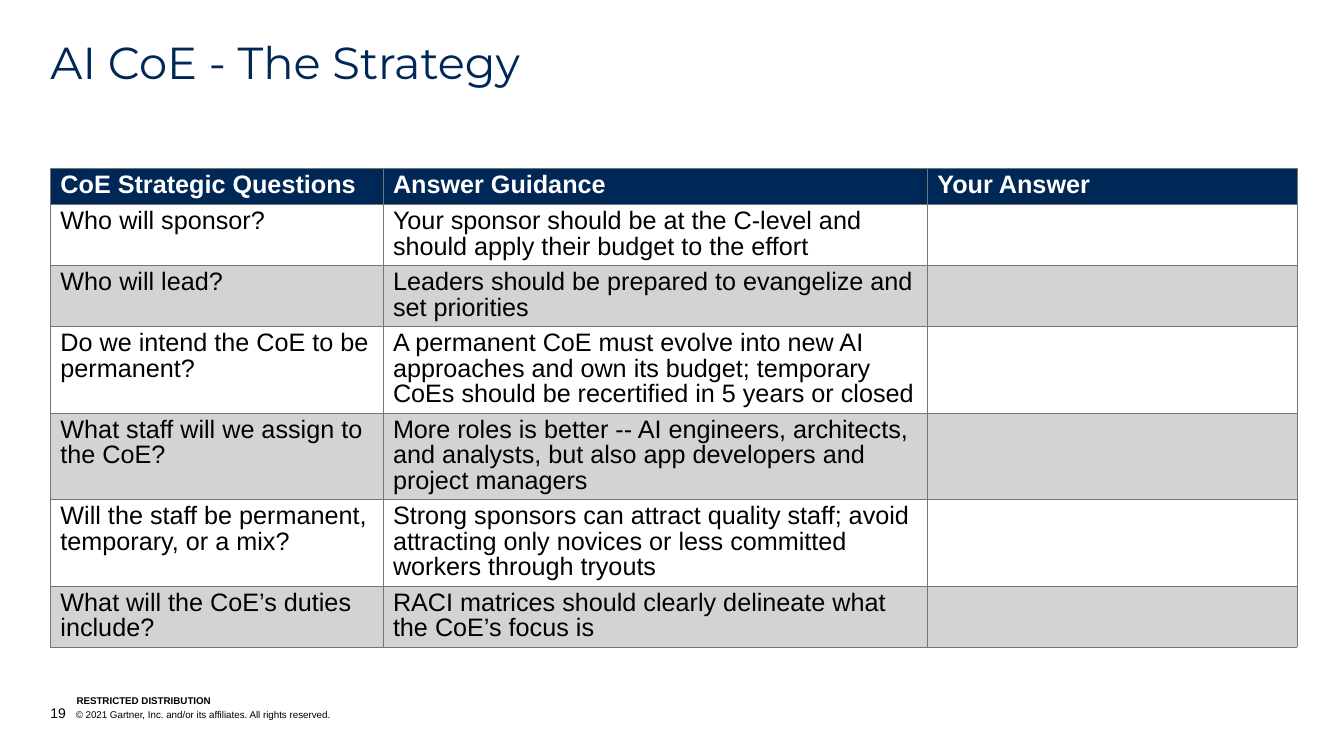
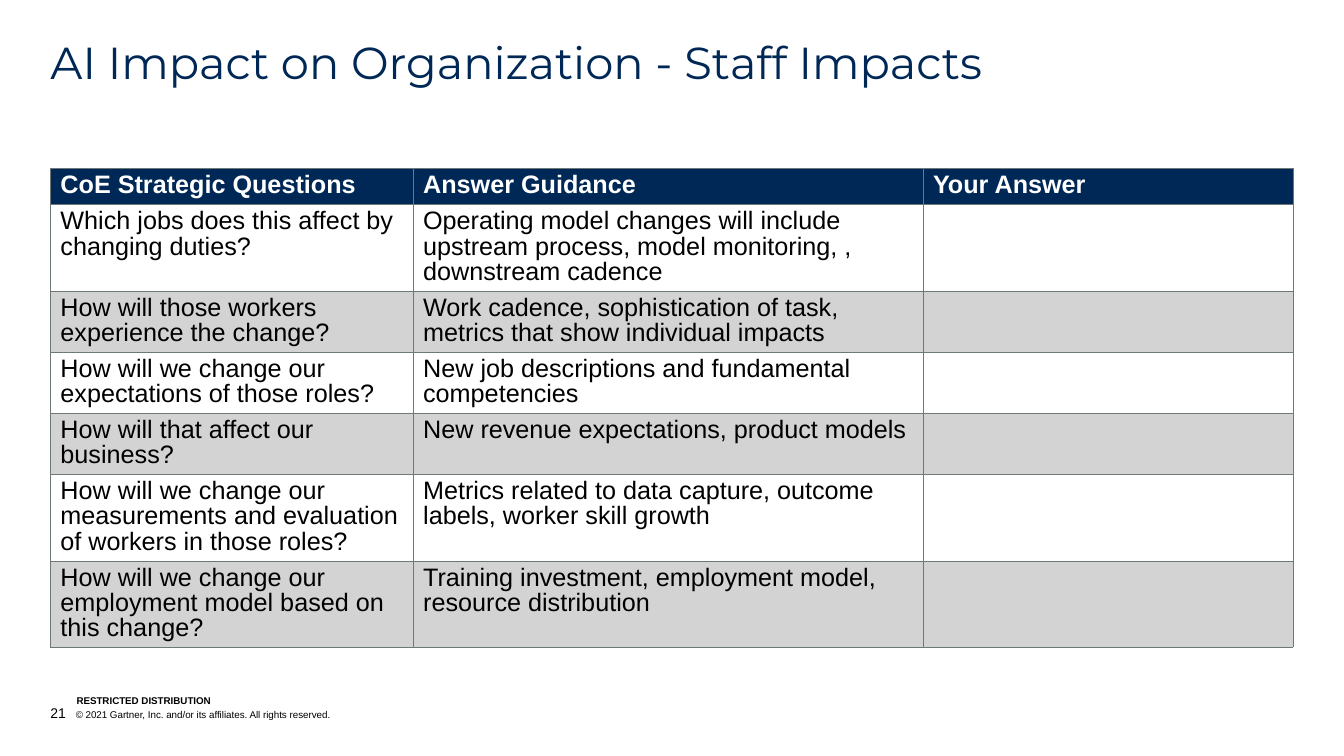
from dataclasses import dataclass

from lxml import etree
from pptx import Presentation
from pptx import util as u
from pptx.dml.color import RGBColor
from pptx.enum import text
from pptx.oxml.ns import qn
from pptx.slide import Slide
from pptx.table import _Cell
from pptx.text.text import TextFrame, _Paragraph

# Shared look
NAVY = RGBColor(0x00, 0x28, 0x56)
WHITE = RGBColor(0xFF, 0xFF, 0xFF)
BLACK = RGBColor(0x00, 0x00, 0x00)
BAND_GREY = RGBColor(0xD3, 0xD3, 0xD3)
RULE_GREY = RGBColor(0x6F, 0x78, 0x78)
TITLE_FONT = "Montserrat"
BODY_FONT = "Arial"
LINE_SPACING = 0.9

LEFT = u.Cm(1.27)
TABLE_TOP = u.Cm(4.24)
HEADER_HEIGHT = u.Cm(0.91)
LINE_HEIGHT = u.Cm(0.64)
ROW_PADDING = u.Cm(0.26)
NUMBER_INDENT = u.Cm(0.64)
RULE_WIDTH = u.Pt(0.25)

HEADINGS = ("CoE Strategic Questions", "Answer Guidance", "Your Answer")
RESTRICTION = "RESTRICTED DISTRIBUTION"
COPYRIGHT = "© 2021 Gartner, Inc. and/or its affiliates. All rights reserved."


@dataclass(frozen=True)
class Question:
    question: str
    guidance: str
    lines: int = 2


@dataclass(frozen=True)
class Worksheet:
    number: int
    title: str
    columns: tuple[u.Length, ...]
    questions: tuple[Question, ...]


WORKSHEETS = (
    Worksheet(
        19,
        "AI CoE - The Strategy",
        (u.Cm(8.38), u.Cm(13.72), u.Cm(9.32)),
        (
            Question("Who will sponsor?",
                     "Your sponsor should be at the C-level and should apply their "
                     "budget to the effort"),
            Question("Who will lead?",
                     "Leaders should be prepared to evangelize and set priorities"),
            Question("Do we intend the CoE to be permanent?",
                     "A permanent CoE must evolve into new AI approaches and own its "
                     "budget; temporary CoEs should be recertified in 5 years or closed",
                     3),
            Question("What staff will we assign to the CoE?",
                     "More roles is better -- AI engineers, architects, and analysts, "
                     "but also app developers and project managers", 3),
            Question("Will the staff be permanent, temporary, or a mix?",
                     "Strong sponsors can attract quality staff; avoid attracting only "
                     "novices or less committed workers through tryouts", 3),
            Question("What will the CoE’s duties include?",
                     "RACI matrices should clearly delineate what the CoE’s focus is"),
        ),
    ),
    Worksheet(
        21,
        "AI Impact on Organization - Staff Impacts",
        (u.Cm(9.14), u.Cm(12.85), u.Cm(9.32)),
        (
            Question("Which jobs does this affect by changing duties?",
                     "Operating model changes will include upstream process, model "
                     "monitoring, , downstream cadence", 3),
            Question("How will those workers experience the change?",
                     "Work cadence, sophistication of task, metrics that show "
                     "individual impacts"),
            Question("How will we change our expectations of those roles?",
                     "New job descriptions and fundamental competencies"),
            Question("How will that affect our business?",
                     "New revenue expectations, product models"),
            Question("How will we change our measurements and evaluation of workers "
                     "in those roles?",
                     "Metrics related to data capture, outcome labels, worker skill "
                     "growth", 3),
            Question("How will we change our employment model based on this change?",
                     "Training investment, employment model, resource distribution", 3),
        ),
    ),
)


def set_font(para: _Paragraph, name: str, size: float, color: RGBColor,
             bold: bool = False) -> None:
    para.font.name = name
    para.font.size = u.Pt(size)
    para.font.bold = bold
    para.font.color.rgb = color


def clear_margins(frame: TextFrame, anchor: text.MSO_ANCHOR) -> None:
    frame.margin_left = frame.margin_right = 0
    frame.margin_top = frame.margin_bottom = 0
    frame.vertical_anchor = anchor
    frame.word_wrap = True
    frame.auto_size = text.MSO_AUTO_SIZE.NONE


def set_title(page: Slide, wording: str) -> None:
    title = page.shapes.title
    title.left, title.top = LEFT, u.Cm(1.02)
    title.width, title.height = u.Cm(31.32), u.Cm(1.24)
    frame = title.text_frame
    clear_margins(frame, text.MSO_ANCHOR.TOP)
    para = frame.paragraphs[0]
    para.text = wording
    para.alignment = text.PP_ALIGN.LEFT
    para.line_spacing = LINE_SPACING
    para.space_after = u.Pt(12)
    set_font(para, TITLE_FONT, 32, NAVY)


def add_footer_line(page: Slide, left: u.Length, top: u.Length,
                    width: u.Length, height: u.Length) -> _Paragraph:
    frame = page.shapes.add_textbox(left, top, width, height).text_frame
    clear_margins(frame, text.MSO_ANCHOR.BOTTOM)
    return frame.paragraphs[0]


def add_footer(page: Slide, number: int) -> None:
    para = add_footer_line(page, u.Cm(1.93), u.Cm(17.5), u.Cm(6.43), u.Cm(0.3))
    para.text = RESTRICTION
    set_font(para, BODY_FONT, 7, BLACK, bold=True)

    # The page number hangs in front of the copyright line
    para = add_footer_line(page, LEFT, u.Cm(17.75), u.Cm(20.29), u.Cm(0.43))
    properties = para._p.get_or_add_pPr()
    properties.set("marL", str(NUMBER_INDENT))
    properties.set("indent", str(-NUMBER_INDENT))
    set_font(para, BODY_FONT, 7, BLACK)
    for wording, size in ((str(number), 10), (f"\t{COPYRIGHT}", 7)):
        span = para.add_run()
        span.text = wording
        span.font.size = u.Pt(size)


def add_borders(cell: _Cell) -> None:
    properties = cell._tc.get_or_add_tcPr()
    for side in ("lnL", "lnR", "lnT", "lnB"):
        line = etree.SubElement(properties, qn(f"a:{side}"), w=str(RULE_WIDTH))
        fill = etree.SubElement(line, qn("a:solidFill"))
        etree.SubElement(fill, qn("a:srgbClr"), val=str(RULE_GREY))


def fill_cell(cell: _Cell, wording: str, fill: RGBColor, is_header: bool) -> None:
    add_borders(cell)
    cell.fill.solid()
    cell.fill.fore_color.rgb = fill
    cell.vertical_anchor = text.MSO_ANCHOR.MIDDLE if is_header else text.MSO_ANCHOR.TOP
    para = cell.text_frame.paragraphs[0]
    para.text = wording
    para.line_spacing = LINE_SPACING
    set_font(para, BODY_FONT, 18, WHITE if is_header else BLACK, bold=is_header)


def add_question_table(page: Slide, sheet: Worksheet) -> None:
    rows = [HEADINGS] + [(item.question, item.guidance, "") for item in sheet.questions]
    heights = [HEADER_HEIGHT] + [
        u.Emu(ROW_PADDING + item.lines * LINE_HEIGHT) for item in sheet.questions]
    table = page.shapes.add_table(
        len(rows), len(HEADINGS), LEFT, TABLE_TOP,
        u.Emu(sum(sheet.columns)), u.Emu(sum(heights))).table
    table.horz_banding = False
    for column, width in zip(table.columns, sheet.columns):
        column.width = width
    for index, (wordings, height) in enumerate(zip(rows, heights)):
        table.rows[index].height = height
        is_header = index == 0
        band = WHITE if index % 2 else BAND_GREY
        for cell, wording in zip(table.rows[index].cells, wordings):
            fill_cell(cell, wording, NAVY if is_header else band, is_header)


def main() -> None:
    deck = Presentation()
    deck.slide_width, deck.slide_height = u.Cm(33.87), u.Cm(19.05)
    title_only = deck.slide_layouts[5]
    for sheet in WORKSHEETS:
        page = deck.slides.add_slide(title_only)
        add_footer(page, sheet.number)
        set_title(page, sheet.title)
        add_question_table(page, sheet)
    deck.save("out.pptx")


if __name__ == "__main__":
    main()
